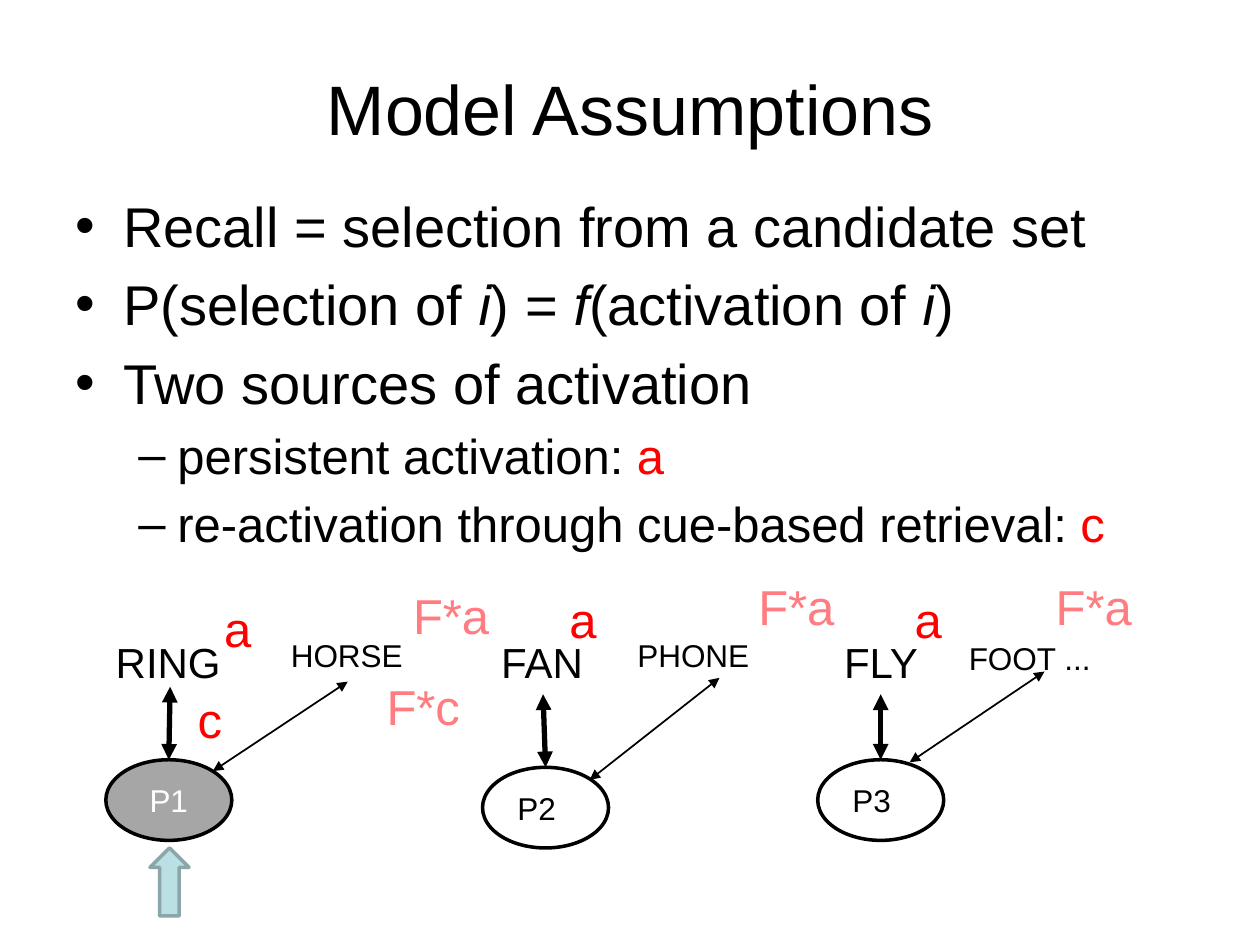
from pptx import Presentation
from pptx.dml.color import RGBColor
from pptx.enum.shapes import MSO_CONNECTOR, MSO_SHAPE
from pptx.enum.text import MSO_ANCHOR, PP_ALIGN
from pptx.oxml.ns import qn
from pptx.util import Inches, Pt
from lxml import etree

STRAIGHT = MSO_CONNECTOR.STRAIGHT
OVAL, UP_ARROW = MSO_SHAPE.OVAL, MSO_SHAPE.UP_ARROW
CENTER, MIDDLE = PP_ALIGN.CENTER, MSO_ANCHOR.MIDDLE

FONT = "Arial"
BLACK = RGBColor(0x00, 0x00, 0x00)
WHITE = RGBColor(0xFF, 0xFF, 0xFF)
GRAY = RGBColor(0xA6, 0xA6, 0xA6)
RED = RGBColor(0xFF, 0x00, 0x00)
PINK = RGBColor(0xFF, 0x7C, 0x80)
TEAL = RGBColor(0xBB, 0xE0, 0xE3)
DARK_TEAL = RGBColor(0x8A, 0xA6, 0xA8)

TITLE = "Model Assumptions"

# Level, then spans of (text, italic, colour)
BULLETS = [
    (0, [("Recall = selection from a candidate set", False, BLACK)]),
    (0, [("P(selection of ", False, BLACK), ("i", True, BLACK),
         (") = ", False, BLACK), ("f", True, BLACK),
         ("(activation of ", False, BLACK), ("i", True, BLACK),
         (")", False, BLACK)]),
    (0, [("Two sources of activation", False, BLACK)]),
    (1, [("persistent activation: ", False, BLACK), ("a", False, RED)]),
    (1, [("re-activation through cue-based retrieval: ", False, BLACK),
         ("c", False, RED)]),
]
# Per level: size, bullet, left margin, first-line indent
LEVELS = [(32, "•", 0.38, -0.38), (28, "–", 0.81, -0.31)]

# Text, left, top, width, height
TARGET_WORDS = [("RING", 0.82, 5, 1.04, 0.5), ("FAN", 3.88, 5, 0.86, 0.5),
                ("FLY", 6.6, 5, 0.79, 0.5)]
PAIRED_WORDS = [("HORSE", 2.21, 5, 1.1, 0.4), ("PHONE", 4.96, 5, 1.1, 0.4),
                ("FOOT ...", 7.59, 5.02, 1.18, 0.4)]
ACTIVATIONS = [("c", 1.47, 5.42, 0.31, 0.57), ("a", 1.68, 4.7, 0.31, 0.57),
               ("a", 4.42, 4.63, 0.31, 0.57), ("a", 7.16, 4.63, 0.31, 0.57)]
FRACTIONS = [("F*c", 2.97, 5.32, 0.86, 0.57), ("F*a", 3.18, 4.6, 0.82, 0.57),
             ("F*a", 5.92, 4.53, 0.82, 0.57), ("F*a", 8.28, 4.53, 0.91, 0.57)]
WORD_GROUPS = [(TARGET_WORDS, 24, BLACK), (PAIRED_WORDS, 18, BLACK),
               (ACTIVATIONS, 28, RED), (FRACTIONS, 28, PINK)]

# Label, left, top, fill, text colour, right inset,
# start of thick arrow, both ends of thin arrow
NODES = [
    ("P1", 0.84, 6.03, GRAY, WHITE, 0.1,
     (1.35, 5.45), (2.76, 5.41), (1.69, 6.12)),
    ("P2", 3.83, 6.09, WHITE, BLACK, 0.24,
     (4.31, 5.51), (5.71, 5.38), (4.68, 6.19)),
    ("P3", 6.49, 6.03, WHITE, BLACK, 0.24,
     (6.99, 5.51), (8.29, 5.33), (7.22, 6.05)),
]
NODE_SIZE = (1, 0.64)


def style(font, size, color):
    font.name, font.size, font.color.rgb = FONT, Pt(size), color


def add_text(page, text, left, top, width, height, size, color):
    box = page.shapes.add_textbox(*map(Inches, (left, top, width, height)))
    para = box.text_frame.paragraphs[0]
    para.text = text
    style(para.font, size, color)
    return box


def add_solid(page, kind, left, top, width, height, fill, line):
    shape = page.shapes.add_shape(kind, *map(Inches, (left, top, width, height)))
    shape.shadow.inherit = False
    shape.fill.solid()
    shape.fill.fore_color.rgb = fill
    shape.line.color.rgb = line
    shape.line.width = Pt(2)
    return shape


def add_double_arrow(page, start, end, weight):
    arrow = page.shapes.add_connector(STRAIGHT, *map(Inches, start + end))
    arrow.line.color.rgb = BLACK
    arrow.line.width = Pt(weight)
    line = arrow.line._get_or_add_ln()
    for tag in ("a:headEnd", "a:tailEnd"):
        etree.SubElement(line, qn(tag), type="triangle")
    etree.SubElement(arrow._element.spPr, qn("a:effectLst"))
    return arrow


def set_bullet(para, char, margin, indent):
    props = para._p.get_or_add_pPr()
    props.set("marL", str(Inches(margin)))
    props.set("indent", str(Inches(indent)))
    before = etree.SubElement(props, qn("a:spcBef"))
    etree.SubElement(before, qn("a:spcPct"), val="20000")
    etree.SubElement(props, qn("a:buFont"), typeface=FONT)
    etree.SubElement(props, qn("a:buChar"), char=char)


def add_bullets(page):
    box = page.shapes.add_textbox(*map(Inches, (0.5, 1.47, 9, 5.29)))
    frame = box.text_frame
    frame.word_wrap = True
    for index, (level, spans) in enumerate(BULLETS):
        para = frame.add_paragraph() if index else frame.paragraphs[0]
        size, char, margin, indent = LEVELS[level]
        para.level = level
        set_bullet(para, char, margin, indent)
        for text, italic, color in spans:
            span = para.add_run()
            span.text = text
            span.font.italic = italic
            style(span.font, size, color)


def add_node(page, label, left, top, fill, color, inset, word, pair, edge):
    oval = add_solid(page, OVAL, left, top, *NODE_SIZE, fill, BLACK)
    frame = oval.text_frame
    frame.vertical_anchor = MIDDLE
    frame.margin_right = Inches(inset)
    para = frame.paragraphs[0]
    para.text = label
    para.alignment = CENTER
    style(para.font, 18, color)
    top_middle = (left + NODE_SIZE[0] / 2, top)
    add_double_arrow(page, word, top_middle, 3).end_connect(oval, 0)
    add_double_arrow(page, pair, edge, 1)


def main():
    deck = Presentation()
    deck.slide_width, deck.slide_height = Inches(10), Inches(7.5)
    page = deck.slides.add_slide(deck.slide_layouts[6])

    # Title and bullets
    title = add_text(page, TITLE, 0.5, 0.3, 9, 1.1, 40, BLACK)
    title.text_frame.word_wrap = True
    title.text_frame.vertical_anchor = MIDDLE
    title.text_frame.paragraphs[0].alignment = CENTER
    add_bullets(page)

    # Position nodes with their arrows, and the cue below the first
    for node in NODES:
        add_node(page, *node)
    add_solid(page, UP_ARROW, 1.19, 6.73, 0.31, 0.54, TEAL, DARK_TEAL)

    # Words and activation labels
    for words, size, color in WORD_GROUPS:
        for word in words:
            add_text(page, *word, size, color)

    deck.save("out.pptx")


if __name__ == "__main__":
    main()
